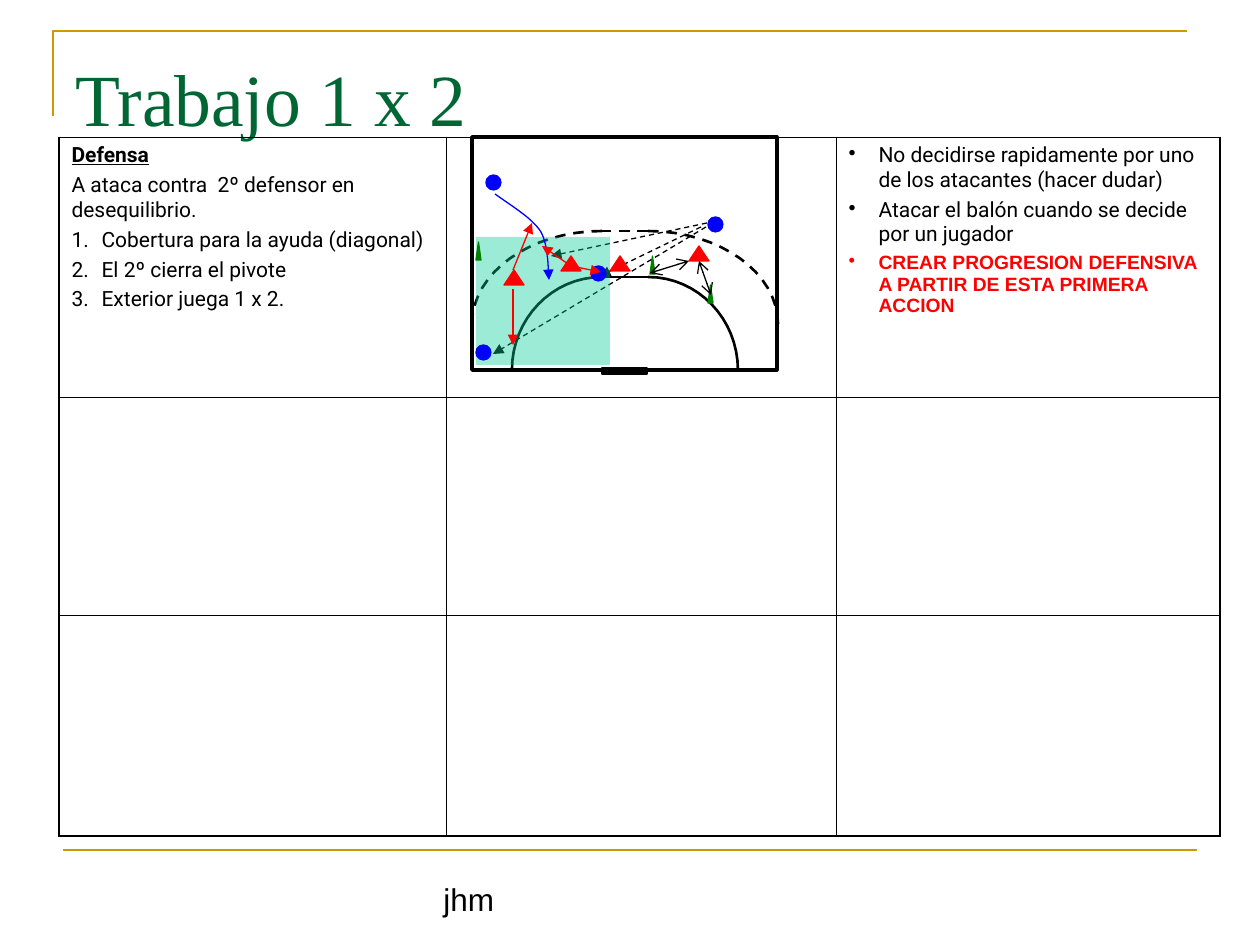
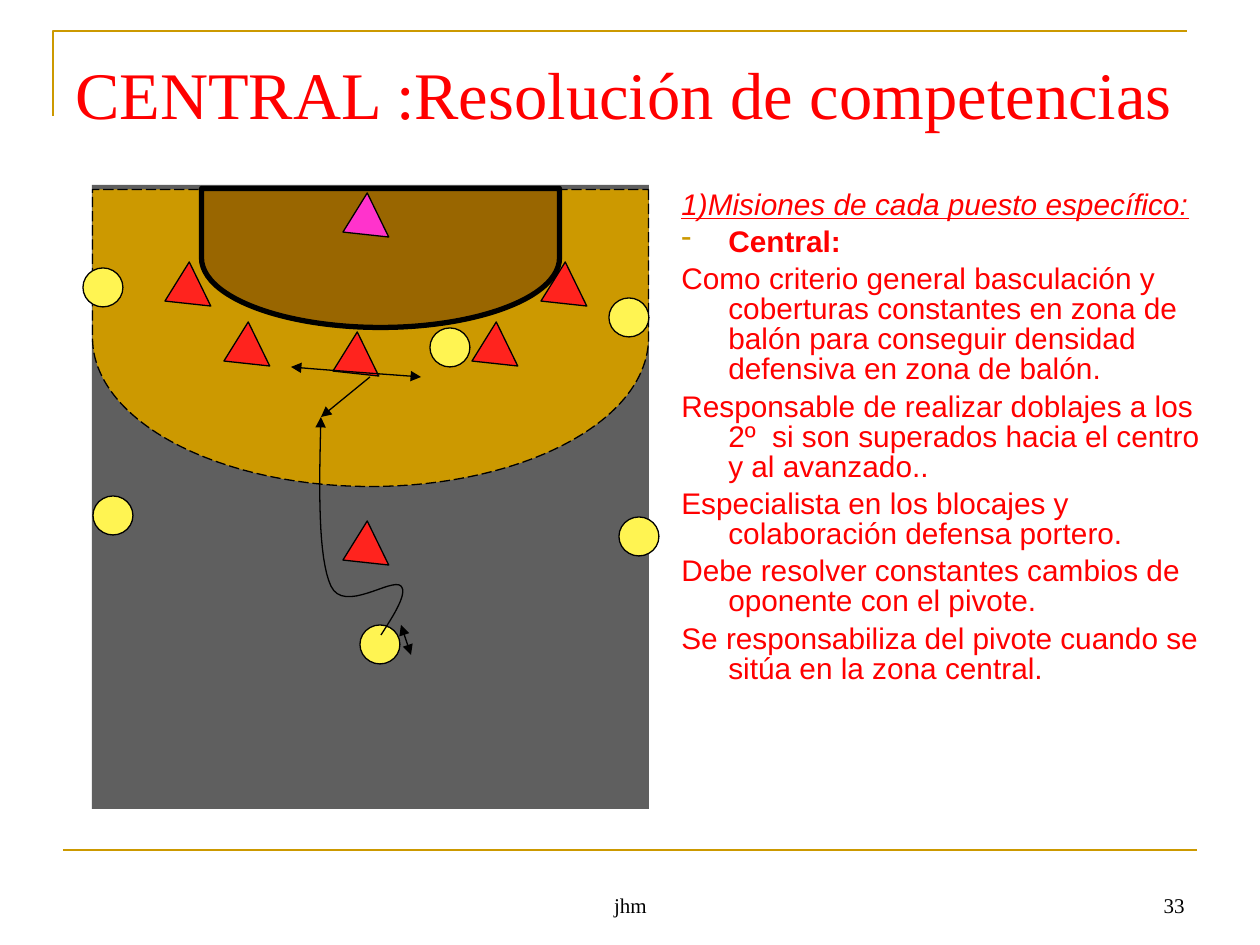
import pptx
import pptx.util
from lxml import etree
from pptx.dml.color import RGBColor
from pptx.enum.dml import MSO_LINE
from pptx.enum.shapes import MSO_CONNECTOR, MSO_SHAPE
from pptx.enum.text import MSO_ANCHOR, PP_ALIGN
from pptx.oxml.ns import qn

PX = 7257  # EMU in one px, 126 px to the inch


class Theme:
    gold, green, red, black, white = "CC9900", "006633", "FF0000", "000000", "FFFFFF"
    blue, cone, zone = "0000FF", "008000", "00CC99"
    floor, area, attacker, defender, keeper = "5F5F5F", "996600", "FFF452", "FF231E", "FF33CC"
    serif, sans, table_font = "Times New Roman", "Arial", "Roboto"
    title, long_title, footer, small_footer = 42, 38, 18, 12
    body, cell, cell_note = 17, 12, 11
    thin, medium, court, thick = 0.75, 1.5, 2, 3
    inner_border, outer_border = 0.45, 1.08


def draw(slide, kind, points, fill=None, line=None, width=Theme.thin, dash=None,
         head=None, tail=None, rotation=0):
    """Add a "line", "path" or "curve" through points, or a preset in the box points.

    A curve takes its points as a start and then triples of cubic Bezier points.
    """
    emu = [value * PX for value in points]
    pairs = list(zip(emu[::2], emu[1::2]))
    if kind == "line":
        shape = slide.shapes.add_connector(MSO_CONNECTOR.STRAIGHT, *emu)
    elif kind in ("path", "curve"):
        vertices = pairs[1:]
        if kind == "curve":
            vertices = []
            for first in range(0, len(pairs) - 1, 3):
                for step in range(1, 17):
                    t = step / 16
                    weights = ((1 - t) ** 3, 3 * t * (1 - t) ** 2, 3 * t * t * (1 - t), t ** 3)
                    segment = list(zip(weights, pairs[first:first + 4]))
                    vertices.append(tuple(sum(w * p[axis] for w, p in segment) for axis in (0, 1)))
        builder = slide.shapes.build_freeform(*pairs[0])
        builder.add_line_segments(vertices, close=False)
        shape = builder.convert_to_shape()
    else:
        shape = slide.shapes.add_shape(kind, *emu)
        shape.rotation = rotation

    if line:
        shape.line.color.rgb = RGBColor.from_string(line)
        shape.line.width = pptx.util.Pt(width)
        if dash:
            shape.line.dash_style = dash
        for tag, arrow in (("a:headEnd", head), ("a:tailEnd", tail)):
            if arrow:
                etree.SubElement(shape.line._get_or_add_ln(), qn(tag), type=arrow)
    else:
        shape.line.fill.background()

    if kind == "line":
        etree.SubElement(shape._element.spPr, qn("a:effectLst"))
    else:
        shape.shadow.inherit = False
        if fill:
            shape.fill.solid()
            shape.fill.fore_color.rgb = RGBColor.from_string(fill)
        else:
            shape.fill.background()
    return shape


def write(frame, lines, size, font, color, align=None, space=0, spacing=None):
    """Fill a text frame with (text, options) lines; options override the defaults."""
    frame.word_wrap = True
    for index, (text, options) in enumerate(lines):
        paragraph = frame.paragraphs[0] if index == 0 else frame.add_paragraph()
        paragraph.text = text
        if align:
            paragraph.alignment = align
        if index and space:
            paragraph.space_before = pptx.util.Pt(space)
        if spacing:
            paragraph.line_spacing = spacing
        line_color = options.get("color", color)
        if "hang" in options:
            properties = paragraph._p.get_or_add_pPr()
            properties.set("marL", str(options["hang"] * PX))
            properties.set("indent", str(-options["hang"] * PX))
            if "bullet" in options:
                bullet_color = etree.SubElement(properties, qn("a:buClr"))
                etree.SubElement(bullet_color, qn("a:srgbClr"),
                                 val=options.get("bullet_color", line_color))
                if options["bullet"] == "1.":
                    etree.SubElement(properties, qn("a:buAutoNum"), type="arabicPeriod")
                else:
                    etree.SubElement(properties, qn("a:buChar"), char=options["bullet"])
        for run in paragraph.runs:
            run.font.size = pptx.util.Pt(options.get("size", size))
            run.font.name = options.get("font", font)
            run.font.color.rgb = RGBColor.from_string(line_color)
            run.font.bold = options.get("bold", False)
            run.font.italic = options.get("italic", False)
            run.font.underline = options.get("underline", False)


presentation = pptx.Presentation()
presentation.slide_width = pptx.util.Inches(10)
presentation.slide_height = pptx.util.Inches(7.5)
blank = presentation.slide_layouts[6]
one_against_two = presentation.slides.add_slide(blank)
central = presentation.slides.add_slide(blank)

# Frame lines, titles and footers
for slide in (one_against_two, central):
    draw(slide, "path", (53, 116, 53, 31, 1187, 31), line=Theme.gold, width=Theme.medium)
    draw(slide, "line", (63, 850, 1197, 850), line=Theme.gold, width=Theme.medium)

for slide, text, height, size, color in (
    (one_against_two, "Trabajo 1 x 2", 89, Theme.title, Theme.green),
    (central, "CENTRAL :Resolución de competencias", 173, Theme.long_title, Theme.red),
):
    title = slide.shapes.add_textbox(63 * PX, 38 * PX, 1134 * PX, height * PX)
    title.text_frame.margin_top = 15 * PX
    write(title.text_frame, [(text, {})], size, Theme.serif, color)

for slide, text, left, width, size, font, align in (
    (one_against_two, "jhm", 431, 398, Theme.footer, Theme.sans, PP_ALIGN.LEFT),
    (central, "jhm", 431, 399, Theme.small_footer, Theme.serif, PP_ALIGN.CENTER),
    (central, "33", 903, 294, Theme.small_footer, Theme.serif, PP_ALIGN.RIGHT),
):
    footer = slide.shapes.add_textbox(left * PX, 861 * PX, width * PX, 63 * PX)
    footer.text_frame.vertical_anchor = MSO_ANCHOR.BOTTOM
    write(footer.text_frame, [(text, {})], size, font, Theme.black, align)

# Slide 1: exercise table
column_widths, row_heights = (387, 390, 384), (260, 218, 221)
table = one_against_two.shapes.add_table(
    3, 3, 59 * PX, 137 * PX, sum(column_widths) * PX, sum(row_heights) * PX).table
table.first_row = table.horz_banding = False
for column, width in zip(table.columns, column_widths):
    column.width = width * PX
for row, height in zip(table.rows, row_heights):
    row.height = height * PX

for row in range(3):
    for column in range(3):
        cell = table.cell(row, column)
        properties = cell._tc.get_or_add_tcPr()
        for tag, is_outer in (("a:lnL", column == 0), ("a:lnR", column == 2),
                              ("a:lnT", False), ("a:lnB", row == 2)):
            border_width = Theme.outer_border if is_outer else Theme.inner_border
            border = etree.SubElement(properties, qn(tag), w=str(pptx.util.Pt(border_width)))
            border_fill = etree.SubElement(border, qn("a:solidFill"))
            etree.SubElement(border_fill, qn("a:srgbClr"), val=Theme.black)
        cell.fill.background()

numbered = {"hang": 30, "bullet": "1."}
dotted = {"hang": 30, "bullet": "•"}
progression = {**dotted, "size": Theme.cell_note, "font": Theme.sans,
               "color": Theme.red, "bold": True}
exercise = [
    ("Defensa", {"bold": True, "underline": True}),
    ("A ataca contra  2º defensor en desequilibrio.", {}),
    ("Cobertura para la ayuda (diagonal)", numbered),
    ("El 2º cierra el pivote", numbered),
    ("Exterior juega 1 x 2.", numbered),
]
advice = [
    ("No decidirse rapidamente por uno de los atacantes (hacer dudar)", dotted),
    ("Atacar el balón cuando se decide por un jugador", dotted),
    ("CREAR PROGRESION DEFENSIVA A PARTIR DE ESTA PRIMERA ACCION", progression),
]
for column, lines in ((0, exercise), (2, advice)):
    write(table.cell(0, column).text_frame, lines, Theme.cell, Theme.table_font,
          Theme.black, space=3)

# Slide 1: court, with each area line made of two mirrored arcs and a flat top
draw(one_against_two, MSO_SHAPE.RECTANGLE, (472, 137, 305, 233), Theme.white,
     Theme.black, Theme.court)
middle, half_flat = 625, 23
for top, radius_x, radius_y, dash in ((277, 90, 93, None), (231, 130, 93, MSO_LINE.DASH)):
    for side in (-1, 1):
        start = middle + side * half_flat
        end = start + side * radius_x
        draw(one_against_two, "curve",
             (start, top, start + side * round(0.55 * radius_x), top,
              end, top + round(0.45 * radius_y), end, top + radius_y),
             line=Theme.black, width=Theme.medium, dash=dash)
    draw(one_against_two, "line", (middle + half_flat, top, middle - half_flat, top),
         line=Theme.black, width=Theme.medium, dash=dash)
draw(one_against_two, MSO_SHAPE.RECTANGLE, (602, 368, 45, 6), Theme.black, Theme.black)

for pass_line in ((707, 223, 551, 256), (706, 227, 493, 354), (701, 227, 600, 276)):
    draw(one_against_two, "line", pass_line, line=Theme.black, dash=MSO_LINE.DASH,
         tail="triangle")
help_zone = draw(one_against_two, MSO_SHAPE.RECTANGLE, (476, 237, 134, 128), Theme.zone)
zone_color = help_zone._element.spPr.find(qn("a:solidFill"))[0]
etree.SubElement(zone_color, qn("a:alpha"), val="39000")

for preset, size, color, places in (
    (MSO_SHAPE.ISOSCELES_TRIANGLE, (5, 18), Theme.cone, ((650, 256), (476, 242), (708, 285))),
    (MSO_SHAPE.ISOSCELES_TRIANGLE, (20, 15), Theme.red,
     ((504, 270), (610, 256), (561, 256), (689, 246))),
    (MSO_SHAPE.OVAL, (15, 15), Theme.blue, ((486, 175), (708, 217), (476, 345), (591, 266))),
):
    for place in places:
        draw(one_against_two, preset, place + size, color, color)

draw(one_against_two, "curve",
     (495, 194, 513, 207, 532, 218, 541, 232, 549, 247, 548, 272, 549, 280),
     line=Theme.blue, tail="triangle")
for defender_move in ((513, 270, 532, 223), (513, 289, 513, 345),
                      (571, 266, 601, 272), (571, 266, 542, 246)):
    draw(one_against_two, "line", defender_move, line=Theme.red, tail="triangle")
for shuttle in ((650, 273, 689, 261), (699, 261, 711, 295)):
    draw(one_against_two, "line", shuttle, line=Theme.black, head="arrow", tail="arrow")

# Slide 2: duties of the central defender
draw(central, MSO_SHAPE.RECTANGLE, (92, 185, 557, 624), Theme.floor)
hanging = {"hang": 47}
duties = [
    ("1)Misiones de cada puesto específico:", {**hanging, "italic": True, "underline": True}),
    ("Central:", {**hanging, "bullet": "-", "bullet_color": Theme.gold, "bold": True}),
    ("Como criterio general basculación y coberturas constantes en zona de balón para "
     "conseguir densidad defensiva en zona de balón.", hanging),
    ("Responsable de realizar doblajes a los 2º  si son superados hacia el centro "
     "y al avanzado..", hanging),
    ("Especialista en los blocajes y colaboración defensa portero.", hanging),
    ("Debe resolver constantes cambios de oponente con el pivote.", hanging),
    ("Se responsabiliza del pivote cuando se sitúa en la zona central.", hanging),
]
body = central.shapes.add_textbox(669 * PX, 185 * PX, 557 * PX, 570 * PX)
write(body.text_frame, duties, Theme.body, Theme.sans, Theme.red, space=4.2, spacing=0.84)

# Slide 2: half court, players and moves
draw(central, MSO_SHAPE.FLOWCHART_DELAY, (222, 60, 297, 556), Theme.gold, Theme.black,
     dash=MSO_LINE.LONG_DASH, rotation=90)
draw(central, MSO_SHAPE.FLOWCHART_DELAY, (311, 79, 139, 358), Theme.area, Theme.black,
     Theme.thick, rotation=90)
for preset, size, color, rotation, places in (
    (MSO_SHAPE.OVAL, (40, 39), Theme.attacker, 0,
     ((83, 268), (93, 496), (430, 328), (609, 298), (619, 517), (360, 625))),
    (MSO_SHAPE.ISOSCELES_TRIANGLE, (49, 39), Theme.keeper, 244, ((336, 204),)),
    (MSO_SHAPE.ISOSCELES_TRIANGLE, (49, 39), Theme.defender, 244,
     ((158, 273), (217, 333), (326, 343), (336, 532), (465, 333), (534, 273))),
):
    for place in places:
        draw(central, preset, place + size, color, Theme.black, rotation=rotation)

for kind, points, head in (
    ("line", (401, 625, 411, 655), "triangle"),
    ("curve", (421, 377, 367, 373, 312, 369, 291, 367), "triangle"),
    ("curve", (381, 635, 394, 615, 408, 593, 401, 586, 392, 577, 344, 614, 331, 586,
               318, 558, 319, 488, 321, 417), None),
    ("line", (370, 377, 321, 417), None),
):
    draw(central, kind, points, line=Theme.black, head=head, tail="triangle")

presentation.save("out.pptx")
